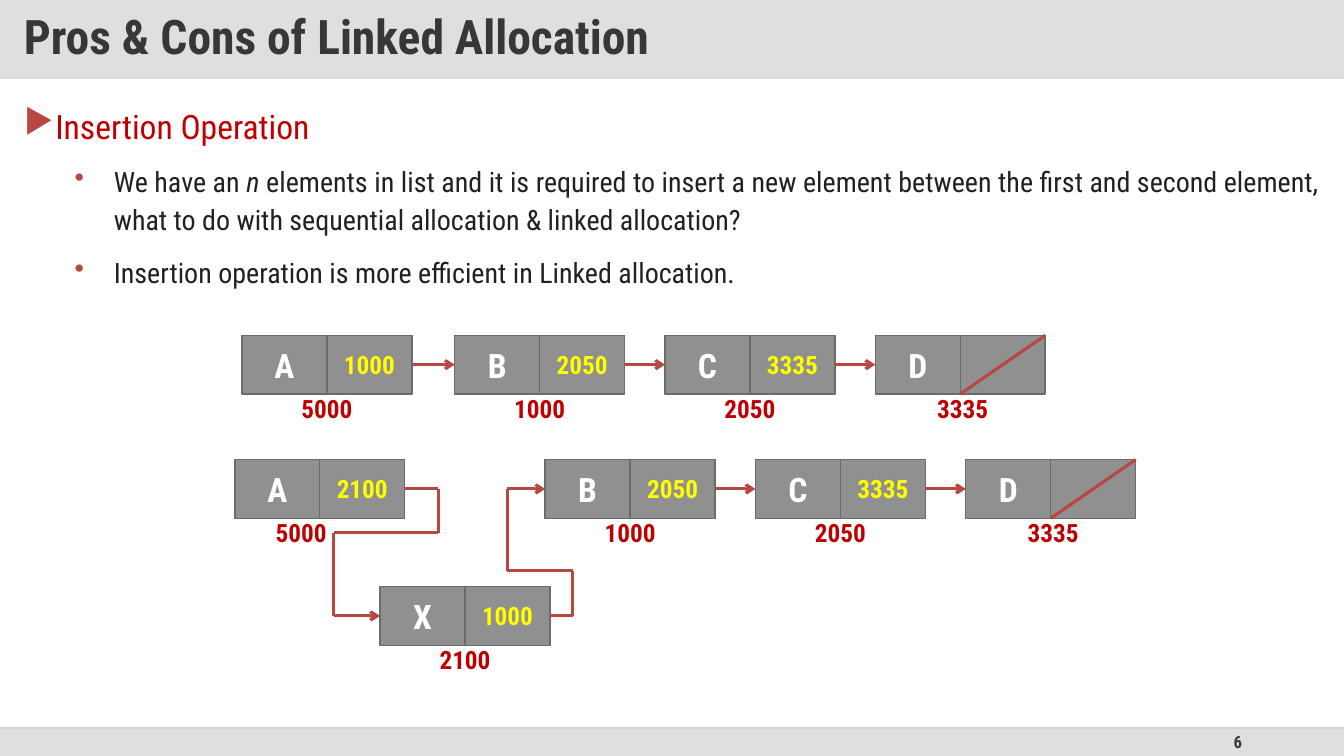
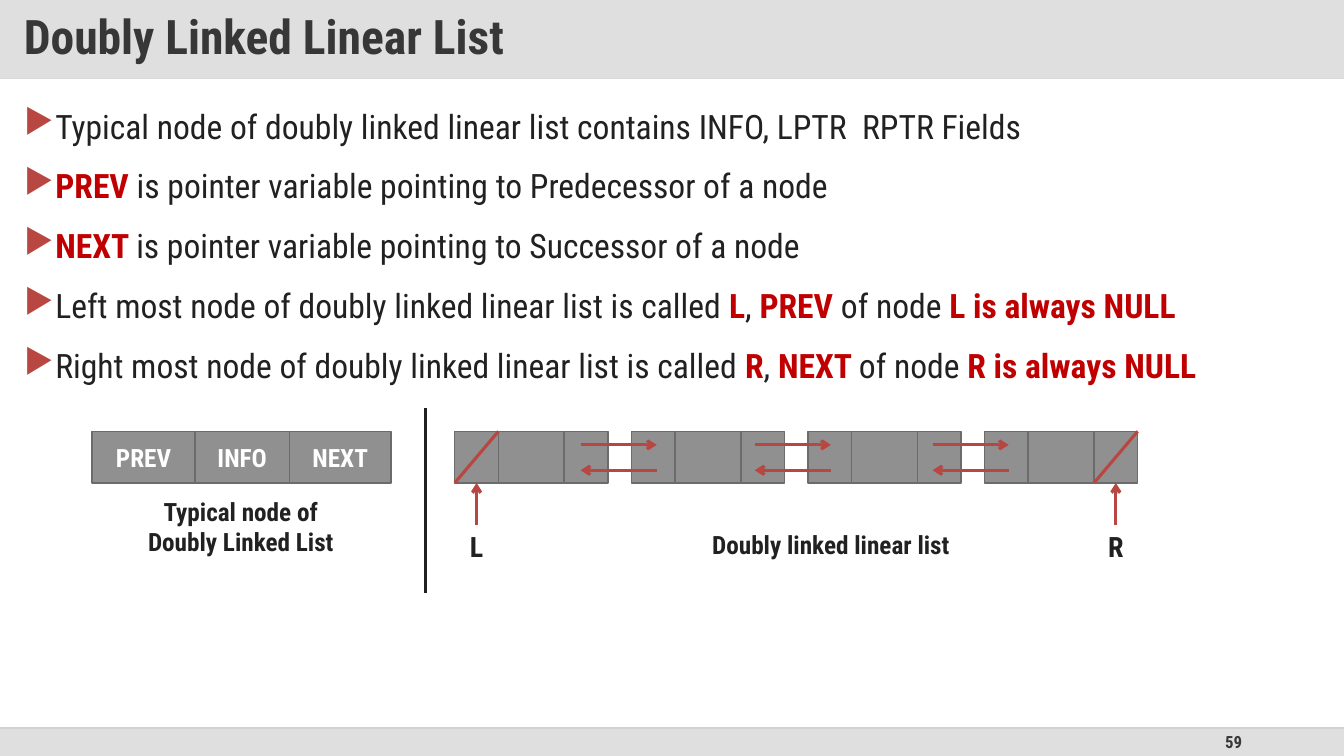
from itertools import accumulate, pairwise

from pptx import Presentation
from pptx.dml.color import RGBColor
from pptx.enum.shapes import MSO_CONNECTOR, MSO_SHAPE
from pptx.enum.text import MSO_ANCHOR, MSO_AUTO_SIZE, PP_ALIGN
from pptx.oxml.ns import qn
from pptx.util import Cm, Pt
from lxml import etree

RECTANGLE = MSO_SHAPE.RECTANGLE
STRAIGHT = MSO_CONNECTOR.STRAIGHT
LEFT, CENTER, RIGHT = PP_ALIGN.LEFT, PP_ALIGN.CENTER, PP_ALIGN.RIGHT
JUSTIFY = PP_ALIGN.JUSTIFY
TOP, MIDDLE = MSO_ANCHOR.TOP, MSO_ANCHOR.MIDDLE
TOP_SIDE, LEFT_SIDE, BOTTOM_SIDE, RIGHT_SIDE = range(4)

# Shared look; all lengths are centimetres
FONT = "Roboto Condensed"
COLORS = {
    "band": "DFDFDF", "title_rule": "D9D9D9", "footer_rule": "D2D2D2",
    "title": "373737", "text": "212121", "key": "C00000", "accent": "B84742",
    "cell": "909090", "cell_line": "6B6B6B", "white": "FFFFFF", "pointer": "FFFF00",
}
PAGE_WIDTH, PAGE_HEIGHT = 33.87, 19.05
TITLE_HEIGHT, FOOTER_TOP = 1.98, 18.34
# bullet, left margin, hanging indent, text size
LEVELS = [("▶", 0.74, 0.74, 24), ("•", 2.26, 0.99, 20)]
# colour, bold, italic
STYLES = {
    "heading": ("key", False, False),
    "key": ("key", True, False),
    "italic": ("text", False, True),
}

# Slide content: body paragraphs are (level, runs), a run is (text, style)
INSERTION = {
    "title": "Pros & Cons of Linked Allocation",
    "number": "6",
    "body": [
        (0, [("Insertion Operation", "heading")]),
        (1, [("We have an ", None), ("n", "italic"),
             (" elements in list and it is required to insert a new element between the "
              "first and second element, what to do with sequential allocation & linked "
              "allocation?", None)]),
        (1, [("Insertion operation is more efficient in Linked allocation.", None)]),
    ],
}
DOUBLY = {
    "title": "Doubly Linked Linear List",
    "number": "59",
    "body": [
        (0, [("Typical node of doubly linked linear list contains INFO, LPTR  RPTR Fields",
              None)]),
        (0, [("PREV ", "key"), ("is pointer variable pointing to Predecessor of a node", None)]),
        (0, [("NEXT ", "key"), ("is pointer variable pointing to Successor of a node", None)]),
        (0, [("Left most node of doubly linked linear list is called ", None), ("L", "key"),
             (", ", None), ("PREV ", "key"), ("of node ", None), ("L is always NULL", "key")]),
        (0, [("Right most node of doubly linked linear list is called ", None), ("R", "key"),
             (", ", None), ("NEXT ", "key"), ("of node ", None), ("R is always NULL", "key")]),
    ],
}

# Singly linked nodes: name, pointer, address, left, shift of the address label
NODE_CELLS, NODE_HEIGHT, NODE_PITCH = [2.14, 2.14], 1.48, 5.3
NODE_ROWS = [
    {"top": 8.45, "first": 6.1, "second": 11.46, "pointer": "1000", "shift": 0},
    {"top": 11.58, "first": 5.92, "second": 13.74, "pointer": "2100", "shift": -0.47},
]
TAIL_NODES = [("B", "2050", "1000", 0), ("C", "3335", "2050", 0), ("D", "", "3335", 0.06)]
NEW_NODE = {"left": 9.58, "top": 14.78}
# x of the first bend, y of the crossing, x of the last bend
ROUTE_TO_NEW = (11.05, 13.42, 8.41)
ROUTE_FROM_NEW = (14.43, 14.38, 12.78)

# Doubly linked nodes
LIST_TOP, LIST_HEIGHT = 10.87, 1.3
LIST_LEFT, LIST_PITCH, LIST_COUNT = 11.46, 4.45, 4
LIST_CELLS = [1.1, 1.66, 1.1]
LINK_LEFTS, LINK_LENGTH = [14.63, 19.02, 23.5], 1.92
FORWARD_Y, BACKWARD_Y = 11.21, 11.85
TYPICAL_LEFT, TYPICAL_CELLS = 2.32, [2.6, 2.37, 2.57]
TYPICAL_TEXTS = ["PREV", "INFO", "NEXT"]
MARKER_TOP, MARKER_WIDTH = 13.23, 1.1
CAPTIONS = [
    (["Typical node of", "Doubly Linked List"], 2.62, 12.37, 6.9, 1.8),
    (["Doubly linked linear list"], 16.56, 13.21, 8.76, 1.02),
]


def rgb(name):
    return RGBColor.from_string(COLORS[name])


def style_font(font, size, color, bold=False):
    font.name, font.size, font.bold = FONT, Pt(size), bold
    font.color.rgb = rgb(color)


def write(frame, lines, size, color, align=CENTER, anchor=MIDDLE):
    """Fill a text frame with bold lines."""
    frame.word_wrap = True
    frame.vertical_anchor = anchor
    for index, line in enumerate(lines):
        para = frame.add_paragraph() if index else frame.paragraphs[0]
        para.add_run().text = line
        para.alignment = align
        style_font(para.font, size, color, bold=True)


def add_label(page, lines, left, top, width, height, size=18, color="text",
              align=CENTER, anchor=TOP):
    box = page.shapes.add_textbox(Cm(left), Cm(top), Cm(width), Cm(height))
    write(box.text_frame, lines, size, color, align, anchor)
    return box


def add_rectangle(page, left, top, width, height, fill, line=None):
    box = page.shapes.add_shape(RECTANGLE, Cm(left), Cm(top), Cm(width), Cm(height))
    box.shadow.inherit = False
    box.fill.solid()
    box.fill.fore_color.rgb = rgb(fill)
    if line:
        box.line.color.rgb = rgb(line)
        box.line.width = Pt(1)
    else:
        box.line.fill.background()
    return box


def add_line(page, start=(0, 0), end=(0, 0), color="accent", width=2.25, arrow=False):
    line = page.shapes.add_connector(STRAIGHT, *map(Cm, (*start, *end)))
    line.line.color.rgb = rgb(color)
    line.line.width = Pt(width)
    if arrow:
        etree.SubElement(line.line._get_or_add_ln(), qn("a:tailEnd"), type="arrow")
    etree.SubElement(line._element.spPr, qn("a:effectLst"))
    return line


def add_link(page, source, source_side, target, target_side):
    link = add_line(page, arrow=True)
    link.begin_connect(source, source_side)
    link.end_connect(target, target_side)


def add_cells(page, left, top, widths, height):
    """Place adjoining cells from left to right."""
    lefts = accumulate(widths[:-1], initial=left)
    return [add_rectangle(page, x, top, width, height, "cell", "cell_line")
            for x, width in zip(lefts, widths)]


def add_slash(page, cell):
    """Mark a null pointer with a diagonal."""
    right, bottom = cell.left + cell.width, cell.top + cell.height
    add_line(page, (right.cm if hasattr(right, "cm") else right / Cm(1), cell.top.cm),
             (cell.left.cm, bottom / Cm(1)))


def add_body(page, paragraphs):
    box = page.shapes.add_textbox(Cm(0.36), Cm(2.39), Cm(33.15), Cm(8))
    frame = box.text_frame
    frame.word_wrap = True
    for index, (level, runs) in enumerate(paragraphs):
        bullet, margin, hanging, size = LEVELS[level]
        para = frame.add_paragraph() if index else frame.paragraphs[0]
        props = para._p.get_or_add_pPr()
        props.set("marL", str(Cm(margin)))
        props.set("indent", str(-Cm(hanging)))
        bullet_color = etree.SubElement(props, qn("a:buClr"))
        etree.SubElement(bullet_color, qn("a:srgbClr"), val=COLORS["accent"])
        etree.SubElement(props, qn("a:buChar"), char=bullet)
        para.alignment = JUSTIFY
        para.line_spacing = 1.14
        if index:
            para.space_before = Pt(10)
        style_font(para.font, size, "text")
        for text, style in runs:
            span = para.add_run()
            span.text = text
            if style:
                color, span.font.bold, span.font.italic = STYLES[style]
                span.font.color.rgb = rgb(color)


def add_page(deck, content):
    """Add a slide with title band, footer band, number and body."""
    page = deck.slides.add_slide(deck.slide_layouts[5])
    title = page.shapes.title
    title.left, title.top = Cm(0), Cm(0)
    title.width, title.height = Cm(PAGE_WIDTH), Cm(TITLE_HEIGHT)
    title.fill.solid()
    title.fill.fore_color.rgb = rgb("band")
    frame = title.text_frame
    frame.auto_size = MSO_AUTO_SIZE.NONE
    frame.margin_left = frame.margin_right = Cm(0.6)
    frame.margin_top = frame.margin_bottom = Cm(0.3)
    write(frame, [content["title"]], 34, "title", LEFT)
    frame.paragraphs[0].line_spacing = 0.9

    footer_height = PAGE_HEIGHT - FOOTER_TOP
    add_rectangle(page, 0, FOOTER_TOP, PAGE_WIDTH, footer_height, "band")
    for y, color in [(TITLE_HEIGHT, "title_rule"), (FOOTER_TOP, "footer_rule")]:
        add_line(page, (0, y), (PAGE_WIDTH, y), color, 1)
    add_label(page, [content["number"]], 23.93, FOOTER_TOP, 7.62, footer_height,
              12, "title", RIGHT, MIDDLE)
    add_body(page, content["body"])
    return page


def add_node(page, name, pointer, address, left, top, shift=0):
    """Draw a data cell and a pointer cell with the address below."""
    data, link = add_cells(page, left, top, NODE_CELLS, NODE_HEIGHT)
    write(data.text_frame, [name], 24, "white")
    if pointer:
        write(link.text_frame, [pointer], 18, "pointer")
    else:
        add_slash(page, link)
    add_label(page, [address], left + shift, top + 1.34, sum(NODE_CELLS), 1.02, color="key")
    return data, link


def add_route(page, source, target, route):
    """Lead a bent arrow from a pointer cell to a data cell."""
    first_x, cross_y, last_x = route
    start_y, end_y = ((cell.top + cell.height / 2) / Cm(1) for cell in (source, target))
    start_x, end_x = (source.left + source.width) / Cm(1), target.left.cm
    points = [(start_x, start_y), (first_x, start_y), (first_x, cross_y),
              (last_x, cross_y), (last_x, end_y), (end_x, end_y)]
    lines = [add_line(page, start, end, arrow=end == points[-1])
             for start, end in pairwise(points)]
    lines[0].begin_connect(source, RIGHT_SIDE)
    lines[-1].end_connect(target, LEFT_SIDE)


def build_insertion(deck):
    page = add_page(deck, INSERTION)
    for row in NODE_ROWS:
        head = add_node(page, "A", row["pointer"], "5000", row["first"], row["top"],
                        row["shift"])
        tail = [add_node(page, name, pointer, address, row["second"] + index * NODE_PITCH,
                         row["top"], shift)
                for index, (name, pointer, address, shift) in enumerate(TAIL_NODES)]
        inserted = row["pointer"] == "2100"
        for source, target in pairwise(tail if inserted else [head, *tail]):
            add_link(page, source[1], RIGHT_SIDE, target[0], LEFT_SIDE)
        if inserted:
            new = add_node(page, "X", "1000", "2100", **NEW_NODE)
            add_route(page, head[1], new[0], ROUTE_TO_NEW)
            add_route(page, new[1], tail[0][0], ROUTE_FROM_NEW)


def build_doubly(deck):
    page = add_page(deck, DOUBLY)
    # Typical node, divider and captions
    typical = add_cells(page, TYPICAL_LEFT, LIST_TOP, TYPICAL_CELLS, LIST_HEIGHT)
    for cell, text in zip(typical, TYPICAL_TEXTS):
        write(cell.text_frame, [text], 18, "white")
    add_line(page, (10.72, 10.29), (10.72, 14.94), "text")
    for caption in CAPTIONS:
        add_label(page, *caption)

    # List with links in both directions
    nodes = [add_cells(page, LIST_LEFT + index * LIST_PITCH, LIST_TOP, LIST_CELLS, LIST_HEIGHT)
             for index in range(LIST_COUNT)]
    for left in LINK_LEFTS:
        right = left + LINK_LENGTH
        add_line(page, (left, FORWARD_Y), (right, FORWARD_Y), arrow=True)
        add_line(page, (right, BACKWARD_Y), (left, BACKWARD_Y), arrow=True)
    for text, cell in [("L", nodes[0][0]), ("R", nodes[-1][-1])]:
        add_slash(page, cell)
        marker = add_label(page, [text], cell.left.cm, MARKER_TOP, MARKER_WIDTH, 1.12, 20)
        add_link(page, marker, TOP_SIDE, cell, BOTTOM_SIDE)


def main():
    deck = Presentation()
    deck.slide_width, deck.slide_height = Cm(PAGE_WIDTH), Cm(PAGE_HEIGHT)
    build_insertion(deck)
    build_doubly(deck)
    deck.save("out.pptx")


if __name__ == "__main__":
    main()
